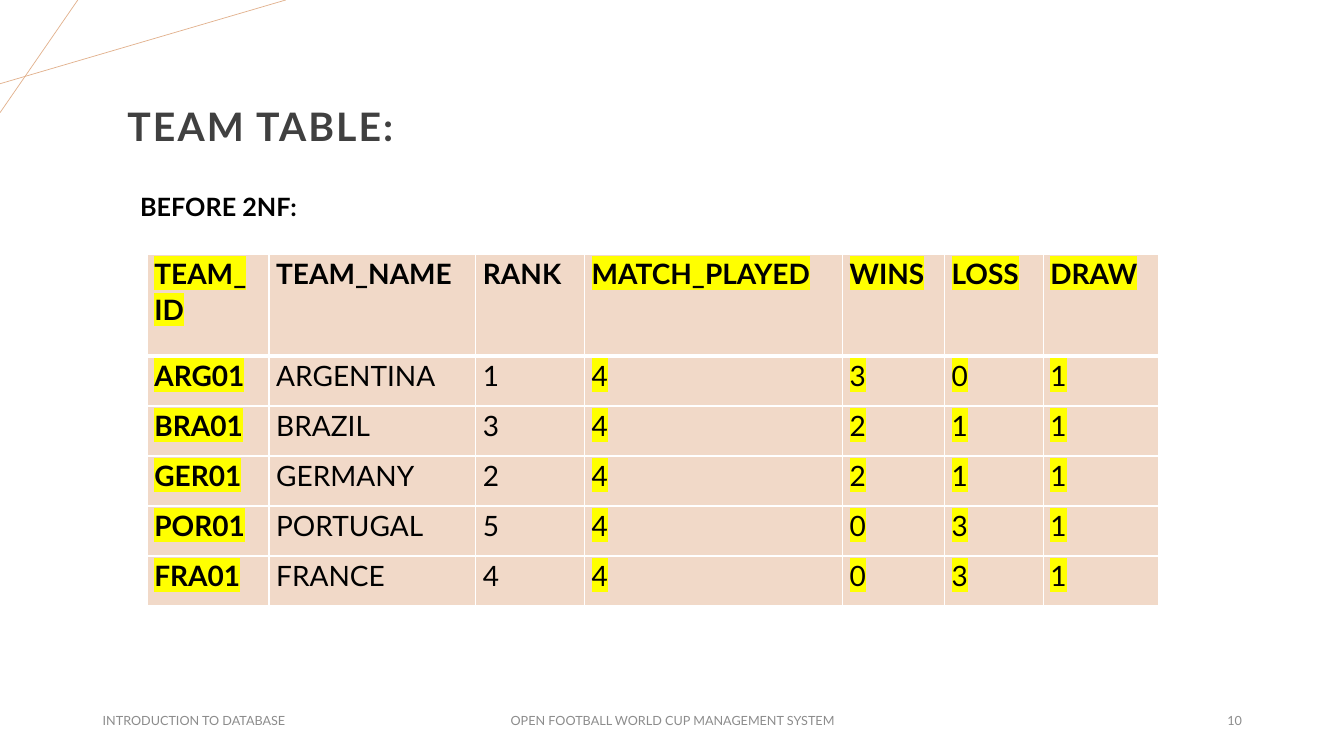
from lxml.etree import SubElement
from pptx import Presentation
from pptx.dml.color import RGBColor
from pptx.enum.shapes import MSO_CONNECTOR as Connector
from pptx.enum.text import MSO_ANCHOR as Anchor, PP_ALIGN as Align
from pptx.oxml.ns import qn
from pptx.util import Cm, Pt

COLORS = {
    "accent": "E2B18D",
    "title": "404040",
    "footer": "8C8C8C",
    "text": "000000",
    "cell": "F1D9C8",
    "border": "FFFFFF",
    "highlight": "FFFF00",
}
HEADER = ["TEAM_\nID", "TEAM_NAME", "RANK", "MATCH_PLAYED", "WINS", "LOSS", "DRAW"]
TEAMS = [
    ["ARG01", "ARGENTINA", "1", "4", "3", "0", "1"],
    ["BRA01", "BRAZIL", "3", "4", "2", "1", "1"],
    ["GER01", "GERMANY", "2", "4", "2", "1", "1"],
    ["POR01", "PORTUGAL", "5", "4", "0", "3", "1"],
    ["FRA01", "FRANCE", "4", "4", "0", "3", "1"],
]
COLUMN_WIDTHS = [3.07, 5.21, 2.74, 6.5, 2.57, 2.49, 2.9]
HEADER_HEIGHT, TEAM_HEIGHT = 2.57, 1.26
PLAIN_COLUMNS = {1, 2}


class SlideBuilder:
    def __init__(self, slide, font_name):
        self.slide = slide
        self.font_name = font_name

    def style(self, paragraph, size, color, bold=False):
        font = paragraph.font
        font.name, font.size, font.bold = self.font_name, Pt(size), bold
        font.color.rgb = RGBColor.from_string(COLORS[color])

    def add_line(self, start, end):
        line = self.slide.shapes.add_connector(
            Connector.STRAIGHT, *(Cm(value) for value in (*start, *end)))
        line.line.color.rgb = RGBColor.from_string(COLORS["accent"])
        line.line.width = Pt(0.5)
        SubElement(line._element.spPr, qn("a:effectLst"))

    def add_text(self, text, box, size, color, bold=False, align=Align.LEFT,
                 anchor=Anchor.MIDDLE):
        shape = self.slide.shapes.add_textbox(*(Cm(value) for value in box))
        frame = shape.text_frame
        frame.word_wrap = True
        frame.vertical_anchor = anchor
        paragraph = frame.paragraphs[0]
        paragraph.text = text
        paragraph.alignment = align
        self.style(paragraph, size, color, bold)
        return paragraph

    def add_title(self, text, box):
        paragraph = self.add_text(text, box, 28, "title", True, Align.CENTER)
        paragraph.line_spacing = 0.9
        paragraph.runs[0]._r.get_or_add_rPr().set("spc", "150")

    def add_borders(self, cell, widths):
        properties = cell._tc.get_or_add_tcPr()
        for side, width in widths.items():
            border = SubElement(properties, qn(f"a:ln{side}"), w=str(Pt(width)))
            fill = SubElement(border, qn("a:solidFill"))
            SubElement(fill, qn("a:srgbClr"), val=COLORS["border"])

    def highlight(self, run):
        mark = SubElement(run._r.get_or_add_rPr(), qn("a:highlight"))
        SubElement(mark, qn("a:srgbClr"), val=COLORS["highlight"])

    def fill_cell(self, cell, text, bold, highlighted, borders):
        self.add_borders(cell, borders)
        cell.fill.solid()
        cell.fill.fore_color.rgb = RGBColor.from_string(COLORS["cell"])
        cell.margin_left = cell.margin_right = Cm(0.18)
        cell.margin_top = cell.margin_bottom = 0
        cell.text = text
        for paragraph in cell.text_frame.paragraphs:
            paragraph.line_spacing = 1.07
            self.style(paragraph, 20, "text", bold)
            if highlighted:
                self.highlight(paragraph.runs[0])

    def add_table(self, rows, left, top):
        heights = [HEADER_HEIGHT] + [TEAM_HEIGHT] * (len(rows) - 1)
        table = self.slide.shapes.add_table(
            len(rows), len(COLUMN_WIDTHS), Cm(left), Cm(top),
            Cm(sum(COLUMN_WIDTHS)), Cm(sum(heights))).table
        table.first_row = table.horz_banding = False
        for column, width in zip(table.columns, COLUMN_WIDTHS):
            column.width = Cm(width)
        for row, height in zip(table.rows, heights):
            row.height = Cm(height)
        for row_index, values in enumerate(rows):
            borders = {"L": 1, "R": 1, "T": 3 if row_index == 1 else 1,
                       "B": 3 if row_index == 0 else 1}
            for column_index, value in enumerate(values):
                self.fill_cell(
                    table.cell(row_index, column_index), value,
                    bold=row_index == 0 or column_index == 0,
                    highlighted=column_index not in PLAIN_COLUMNS,
                    borders=borders)


def main():
    presentation = Presentation()
    presentation.slide_width, presentation.slide_height = Cm(33.87), Cm(19.05)
    slide = presentation.slides.add_slide(presentation.slide_layouts[6])
    builder = SlideBuilder(slide, "Lato")

    builder.add_line((0, 2.11), (7.2, 0))
    builder.add_line((1.96, 0), (0, 2.84))
    builder.add_title("TEAM TABLE:", (2.59, 2.06, 7.95, 2.36))

    footers = [
        ("INTRODUCTION TO DATABASE", 2.34, 7.62, Align.LEFT),
        ("OPEN FOOTBALL WORLD CUP MANAGEMENT SYSTEM", 11.23, 11.43, Align.CENTER),
        ("10", 23.93, 7.62, Align.RIGHT),
    ]
    for text, left, width, align in footers:
        builder.add_text(text, (left, 17.65, width, 1.02), 9, "footer", align=align)

    builder.add_text("BEFORE 2NF:", (3.28, 4.7, 5.11, 1.02), 18, "text", True,
                     anchor=Anchor.TOP)
    builder.add_table([HEADER] + TEAMS, 3.71, 6.4)
    presentation.save("out.pptx")


if __name__ == "__main__":
    main()
